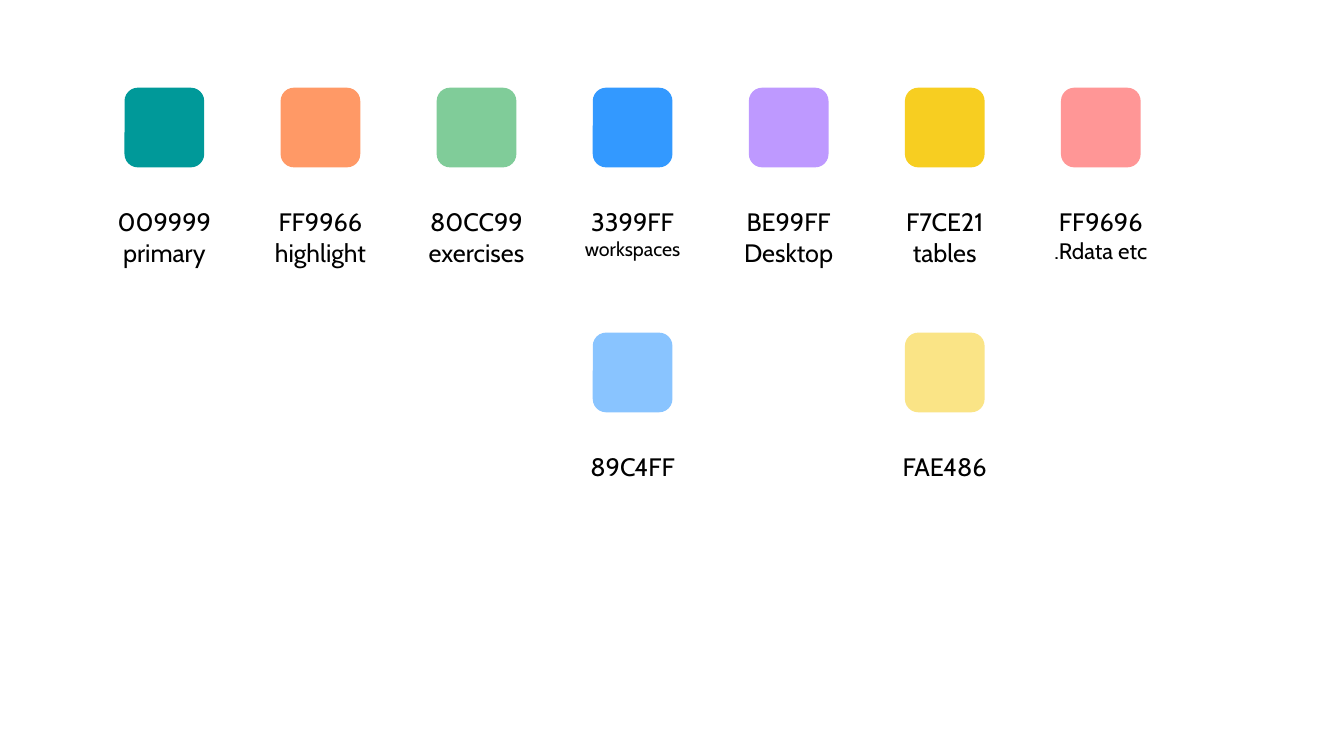
from pptx import Presentation
from pptx.dml.color import RGBColor
from pptx.enum.shapes import MSO_SHAPE
from pptx.enum.text import MSO_AUTO_SIZE, PP_ALIGN
from pptx.util import Inches, Pt

# Content: column, row, colour code, use, type size of the use
SWATCHES = [
    (0, 0, "009999", "primary", "label"),
    (1, 0, "FF9966", "highlight", "label"),
    (2, 0, "80CC99", "exercises", "label"),
    (3, 0, "3399FF", "workspaces", "small"),
    (4, 0, "BE99FF", "Desktop", "label"),
    (5, 0, "F7CE21", "tables", "label"),
    (6, 0, "FF9696", ".Rdata etc", "medium"),
    (3, 1, "89C4FF", None, None),
    (5, 1, "FAE486", None, None),
]

THEME = {
    "font": "Cabin",
    "text": "000000",
    "label": 18,
    "medium": 16,
    "small": 14,
}

# Grid, in inches
LEFT, TOP = 1, 0.87
COL_STEP, ROW_STEP = 1.548, 2.43
LABEL_W, LABEL_DROP = 1.26, 1.13
LABEL_H = {1: 0.4, 2: 0.71}
SIDE = 0.79


def add_chip(group, x, y, code):
    sp = group.shapes.add_shape(
        MSO_SHAPE.ROUNDED_RECTANGLE,
        Inches(x + (LABEL_W - SIDE) / 2), Inches(y), Inches(SIDE), Inches(SIDE))
    sp.shadow.inherit = False
    sp.fill.solid()
    sp.fill.fore_color.rgb = RGBColor.from_string(code)
    sp.line.fill.background()


def add_label(group, x, y, lines):
    box = group.shapes.add_textbox(
        Inches(x), Inches(y), Inches(LABEL_W), Inches(LABEL_H[len(lines)]))
    tf = box.text_frame
    tf.word_wrap = True
    tf.auto_size = MSO_AUTO_SIZE.SHAPE_TO_FIT_TEXT
    for i, (text, size) in enumerate(lines):
        p = tf.paragraphs[0] if i == 0 else tf.add_paragraph()
        p.alignment = PP_ALIGN.CENTER
        r = p.add_run()
        r.text = text
        for name, value in {"name": THEME["font"], "size": Pt(THEME[size])}.items():
            setattr(r.font, name, value)
        r.font.color.rgb = RGBColor.from_string(THEME["text"])


def main():
    prs = Presentation()
    prs.slide_width, prs.slide_height = Inches(13.33), Inches(7.5)
    s = prs.slides.add_slide(prs.slide_layouts[6])

    # Each swatch groups a colour chip with its label
    for col, row, code, use, size in SWATCHES:
        x, y = LEFT + col * COL_STEP, TOP + row * ROW_STEP
        lines = [(code, "label")] + ([(use, size)] if use else [])
        group = s.shapes.add_group_shape()
        add_chip(group, x, y, code)
        add_label(group, x, y + LABEL_DROP, lines)

    prs.save("out.pptx")


if __name__ == "__main__":
    main()
